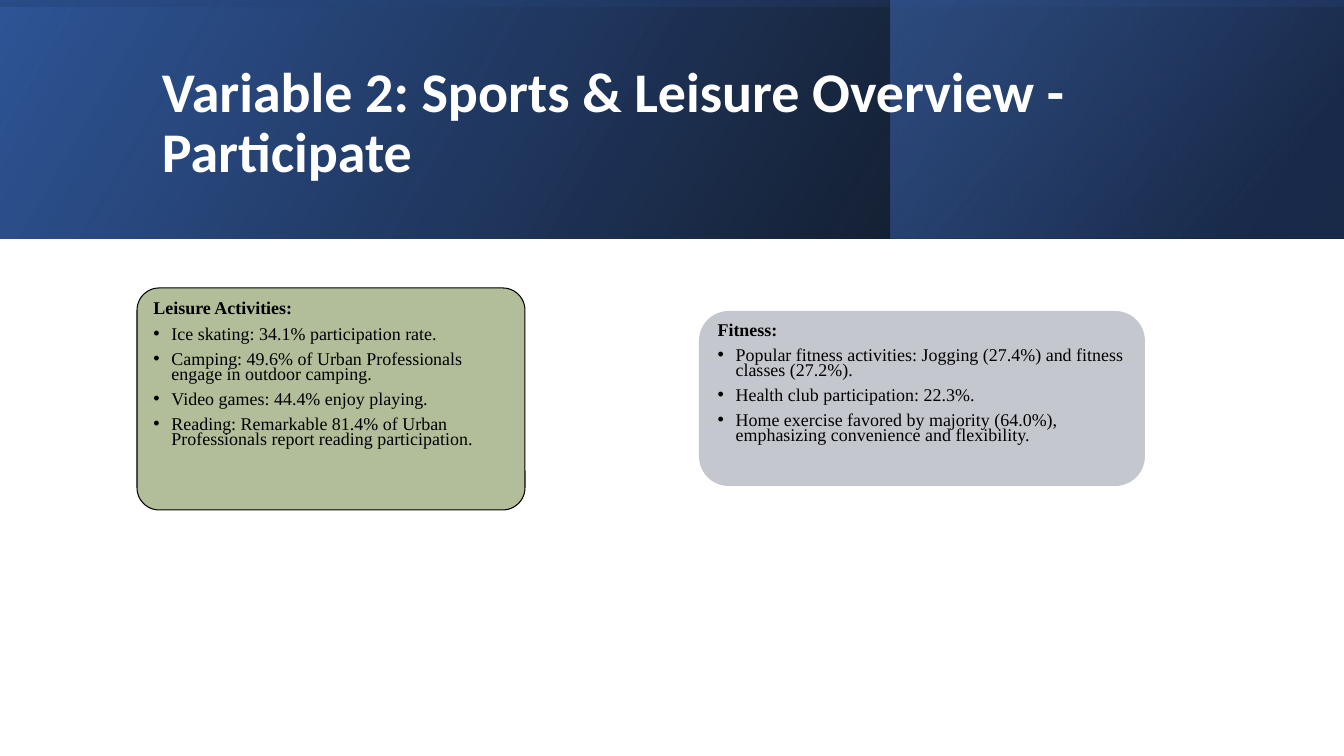
from dataclasses import dataclass

from lxml import etree
from pptx import Presentation
from pptx import util as u
from pptx.dml.color import RGBColor
from pptx.enum import shapes, text
from pptx.oxml import ns

EMU_PER_PX = 914400 / 100.8
WIDTH, HEIGHT = 1344, 756


@dataclass(frozen=True)
class Theme:
    """Colours, fonts and type sizes of the slide."""
    white: str = "FFFFFF"
    black: str = "000000"
    blue: str = "2F5597"
    navy: str = "203864"
    sky: str = "4472C4"
    green: str = "B2BD9A"
    grey: str = "C5C7CF"
    title_font: str = "Calibri"
    body_font: str = "Times New Roman"
    title_size: float = 40
    body_size: float = 12.8
    space_before: float = 7.1


THEME = Theme()
LEISURE = [
    "Ice skating: 34.1% participation rate.",
    "Camping: 49.6% of Urban Professionals engage in outdoor camping.",
    "Video games: 44.4% enjoy playing.",
    "Reading: Remarkable 81.4% of Urban Professionals report reading participation.",
]
FITNESS = [
    "Popular fitness activities: Jogging (27.4%) and fitness classes (27.2%).",
    "Health club participation: 22.3%.",
    "Home exercise favored by majority (64.0%), emphasizing convenience and flexibility.",
]


def px(length):
    """Turn a length in px into EMU."""
    return u.Emu(round(length * EMU_PER_PX))


def add_plain_shape(slide, kind, box):
    """Add a preset shape without shadow or outline."""
    shape = slide.shapes.add_shape(kind, *map(px, box))
    shape.shadow.inherit = False
    shape.line.fill.background()
    return shape


def add_gradient_panel(slide, box, stops, angle, rotation=0):
    """Add a mirrored rectangle with a translucent linear gradient."""
    panel = add_plain_shape(slide, shapes.MSO_SHAPE.RECTANGLE, box)
    panel.rotation = rotation
    properties = panel.element.spPr
    properties.find(ns.qn("a:xfrm")).set("flipH", "1")
    gradient = etree.Element(ns.qn("a:gradFill"), rotWithShape="1")
    stop_list = etree.SubElement(gradient, ns.qn("a:gsLst"))
    for position, color, opacity in stops:
        stop = etree.SubElement(stop_list, ns.qn("a:gs"), pos=str(position * 1000))
        shade = etree.SubElement(stop, ns.qn("a:srgbClr"), val=color)
        etree.SubElement(shade, ns.qn("a:alpha"), val=str(opacity * 1000))
    etree.SubElement(gradient, ns.qn("a:lin"), ang=str(angle * 60000), scaled="0")
    properties.find(ns.qn("a:prstGeom")).addnext(gradient)


def style_paragraph(paragraph, name, size, color, bold, spacing):
    """Set the font and line spacing of a paragraph."""
    paragraph.alignment = text.PP_ALIGN.LEFT
    paragraph.line_spacing = spacing
    paragraph.font.name = name
    paragraph.font.size = u.Pt(size)
    paragraph.font.bold = bold
    paragraph.font.color.rgb = RGBColor.from_string(color)


def add_bullet(paragraph, indent):
    """Give a paragraph a hanging round bullet."""
    properties = paragraph._p.get_or_add_pPr()
    properties.set("marL", str(px(indent)))
    properties.set("indent", str(-px(indent)))
    etree.SubElement(properties, ns.qn("a:buFont"), typeface="Arial")
    etree.SubElement(properties, ns.qn("a:buChar"), char="•")


def add_header(slide, box, title):
    """Draw the layered gradient band and its title."""
    left, top, width, height = box
    add_gradient_panel(slide, box, [(0, THEME.black, 96), (100, THEME.blue, 100)], 330)
    add_gradient_panel(slide, (left + 891, top, width - 891, height),
                       [(19, THEME.navy, 68), (100, THEME.sky, 48)], 320)
    offset = (width - height) / 2
    add_gradient_panel(slide, (left + offset, top - offset, height, width),
                       [(23, THEME.blue, 16), (99, THEME.black, 45)], 350, 270)
    heading = slide.shapes.add_textbox(*map(px, (left + 152, top + 38, 1072, 173)))
    frame = heading.text_frame
    frame.word_wrap = True
    frame.vertical_anchor = text.MSO_ANCHOR.MIDDLE
    frame.text = title
    style_paragraph(frame.paragraphs[0], THEME.title_font, THEME.title_size,
                    THEME.white, True, 0.9)


def add_card(slide, box, heading, items, fill, corner, heading_spacing, outline=None):
    """Draw a rounded card with a bold heading and bulleted items."""
    card = add_plain_shape(slide, shapes.MSO_SHAPE.ROUNDED_RECTANGLE, box)
    card.adjustments[0] = corner
    card.fill.solid()
    card.fill.fore_color.rgb = RGBColor.from_string(fill)
    if outline:
        card.line.color.rgb = RGBColor.from_string(outline)
        card.line.width = u.Pt(0.75)
    frame = card.text_frame
    frame.word_wrap = True
    frame.vertical_anchor = text.MSO_ANCHOR.TOP
    frame.text = heading
    style_paragraph(frame.paragraphs[0], THEME.body_font, THEME.body_size,
                    THEME.black, True, heading_spacing)
    for item in items:
        paragraph = frame.add_paragraph()
        paragraph.text = item
        add_bullet(paragraph, 18)
        paragraph.space_before = u.Pt(THEME.space_before)
        style_paragraph(paragraph, THEME.body_font, THEME.body_size,
                        THEME.black, False, 0.7)


def main():
    """Build and save the presentation."""
    presentation = Presentation()
    presentation.slide_width, presentation.slide_height = px(WIDTH), px(HEIGHT)
    slide = presentation.slides.add_slide(presentation.slide_layouts[6])
    add_header(slide, (0, 0, WIDTH, 239),
               "Variable 2: Sports & Leisure Overview - Participate")
    add_card(slide, (137, 288, 388, 222), "Leisure Activities:", LEISURE,
             THEME.green, 0.1, 0.9, THEME.black)
    add_card(slide, (699, 311, 446, 175), "Fitness:", FITNESS,
             THEME.grey, 0.17, 0.7)
    presentation.save("out.pptx")


if __name__ == "__main__":
    main()
